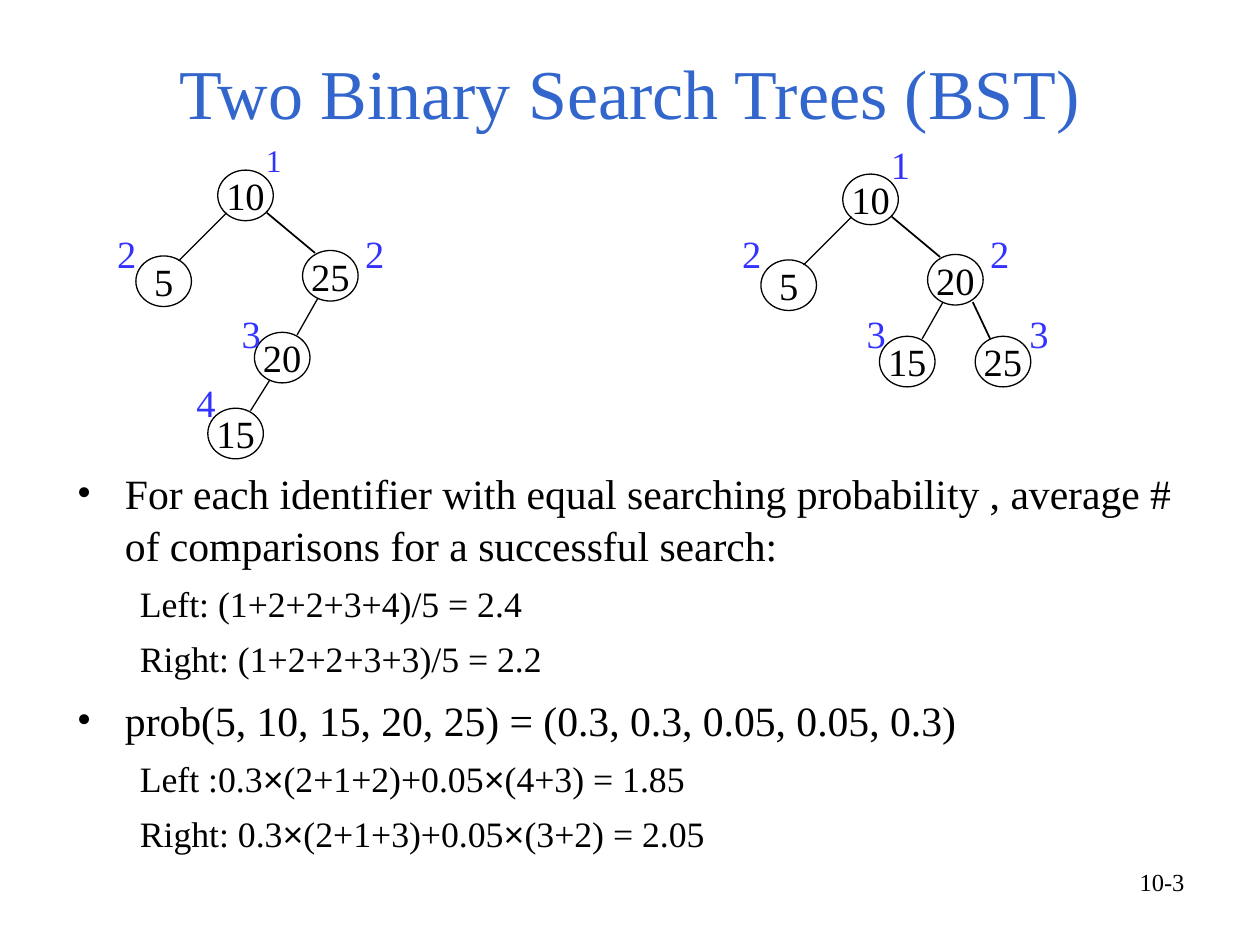
from pptx import Presentation
from pptx.dml.color import RGBColor
from pptx.enum.shapes import MSO_CONNECTOR, MSO_SHAPE
from pptx.enum.text import MSO_ANCHOR, PP_ALIGN
from pptx.oxml.ns import qn
from pptx.util import Cm, Pt
from lxml.etree import SubElement

SERIF = "Times New Roman"
BLACK, BLUE, TITLE = "000000", "3333FF", "3366CC"
WIDE, HIGH = 1.12, 1.02
SHIFT, DROP = 12.6, 0.08

EDGES = {
    "left": (0.18, 0.86, 0.86, 0.1, 0.75),
    "right": (0.99, 0.86, 0.25, 0.05, 1),
    "inner": (0.31, 0.96, 0.86, 0.05, 0.75),
    "outer": (0.91, 0.96, 0.3, 0.05, 1),
}

TOP = (4.39, 3.43)
LOW = (2.74, 5.16)
SIDE = (6.1, 5.05)
DEEP = (5.13, 6.7)
LAST = (4.19, 8.23)
FAR = (7.06, 6.7)

LEFT = [
    ("10", TOP, None, None, "1", (5.11, 2.72), 18),
    ("5", LOW, TOP, "left", "2", (2.11, 4.52), 22),
    ("25", SIDE, TOP, "right", "2", (7.11, 4.52), 22),
    ("20", DEEP, SIDE, "inner", "3", (4.62, 6.12), 22),
    ("15", LAST, DEEP, "inner", "4", (3.71, 7.52), 22),
]
RIGHT = [
    ("10", TOP, None, None, "1", (5.11, 2.72), 22),
    ("5", LOW, TOP, "left", "2", (2.11, 4.52), 22),
    ("20", SIDE, TOP, "right", "2", (7.11, 4.52), 22),
    ("15", DEEP, SIDE, "inner", "3", (4.62, 6.12), 22),
    ("25", FAR, SIDE, "outer", "3", (7.9, 6.12), 22),
]

BODY = [
    (0, "For each identifier with equal searching probability , average # "
        "of comparisons for a successful search:"),
    (1, "Left: (1+2+2+3+4)/5 = 2.4"),
    (1, "Right: (1+2+2+3+3)/5 = 2.2"),
    (0, "prob(5, 10, 15, 20, 25) = (0.3, 0.3, 0.05, 0.05, 0.3)"),
    (1, "Left :0.3×(2+1+2)+0.05×(4+3) = 1.85"),
    (1, "Right: 0.3×(2+1+3)+0.05×(3+2) = 2.05"),
]


def paint(code):
    return RGBColor.from_string(code)


def style(font, size, color, name=SERIF):
    font.color.rgb = paint(color)
    for key, value in {"size": Pt(size), "name": name}.items():
        setattr(font, key, value)


def write(frame, text, size, color, align=PP_ALIGN.LEFT):
    para = frame.paragraphs[0]
    para.alignment = align
    run = para.add_run()
    run.text = text
    style(run.font, size, color)


def add_box(slide, area, wrap=True, anchor=MSO_ANCHOR.TOP):
    frame = slide.shapes.add_textbox(*map(Cm, area)).text_frame
    for key, value in {"word_wrap": wrap, "vertical_anchor": anchor}.items():
        setattr(frame, key, value)
    return frame


def add_node(slide, key, x, y):
    node = slide.shapes.add_shape(
        MSO_SHAPE.OVAL, Cm(x), Cm(y), Cm(WIDE), Cm(HIGH))
    node.shadow.inherit = False
    node.fill.solid()
    node.fill.fore_color.rgb = paint("FFFFFF")
    node.line.color.rgb = paint(BLACK)
    node.line.width = Pt(0.75)
    frame = node.text_frame
    frame.word_wrap = False
    frame.vertical_anchor = MSO_ANCHOR.MIDDLE
    write(frame, key, 22, BLACK, PP_ALIGN.CENTER)


def add_edge(slide, start, end, kind):
    ax, ay, bx, by, width = EDGES[kind]
    edge = slide.shapes.add_connector(
        MSO_CONNECTOR.STRAIGHT,
        Cm(start[0] + ax), Cm(start[1] + ay), Cm(end[0] + bx), Cm(end[1] + by))
    edge.line.color.rgb = paint(BLACK)
    edge.line.width = Pt(width)
    SubElement(edge.element.spPr, qn("a:effectLst"))


def add_tree(slide, rows, dx=0, dy=0):
    for key, (x, y), *rest in rows:
        add_node(slide, key, x + dx, y + dy)
    for key, spot, root, kind, level, (x, y), size in rows:
        if root:
            start, end = [(a + dx, b + dy) for a, b in (root, spot)]
            add_edge(slide, start, end, kind)
        frame = add_box(slide, (x + dx, y, 0.89, size * 0.054))
        write(frame, level, size, BLUE)


def add_body(slide):
    frame = add_box(slide, (1.3, 9.27, 22.86, 7.59))
    for index, (level, text) in enumerate(BODY):
        para = frame.paragraphs[0] if index == 0 else frame.add_paragraph()
        para.level = level
        para.line_spacing = 1.04
        para.space_before = Pt(0 if index == 0 else 6 if level else 7)
        props = para._p.get_or_add_pPr()
        margin, indent = (2.06, -0.79) if level else (0.97, -0.97)
        props.set("marL", str(Cm(margin)))
        props.set("indent", str(Cm(indent)))
        if level:
            SubElement(props, qn("a:buNone"))
        else:
            SubElement(props, qn("a:buFont")).set("typeface", SERIF)
            SubElement(props, qn("a:buChar")).set("char", "•")
        size = 20.4 if level else 23.8
        for order, part in enumerate(text.split("×")):
            pieces = [("×", "Arial")] if order else []
            for words, name in pieces + [(part, SERIF)]:
                run = para.add_run()
                run.text = words
                style(run.font, size, BLACK, name)


def main():
    deck = Presentation()
    deck.slide_width, deck.slide_height = Cm(25.4), Cm(19.05)
    slide = deck.slides.add_slide(deck.slide_layouts[6])
    title = add_box(slide, (1.27, 0.76, 22.86, 2.16), anchor=MSO_ANCHOR.MIDDLE)
    write(title, "Two Binary Search Trees (BST)", 40, TITLE, PP_ALIGN.CENTER)
    add_body(slide)
    add_tree(slide, LEFT)
    add_tree(slide, RIGHT, SHIFT, DROP)
    number = add_box(slide, (18.21, 17.35, 5.92, 1.32))
    write(number, "10-3", 14, BLACK, PP_ALIGN.RIGHT)
    deck.save("out.pptx")


if __name__ == "__main__":
    main()
